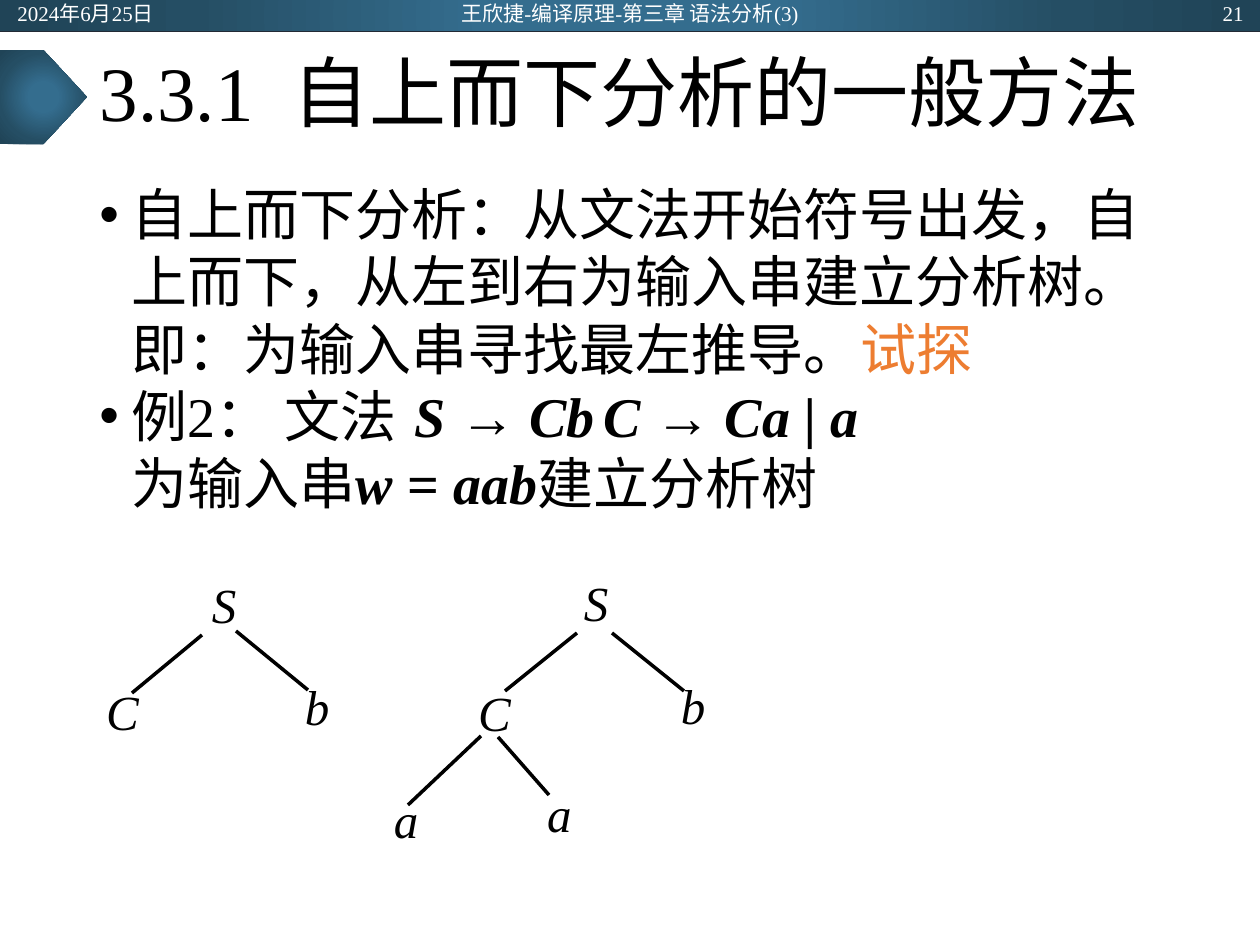
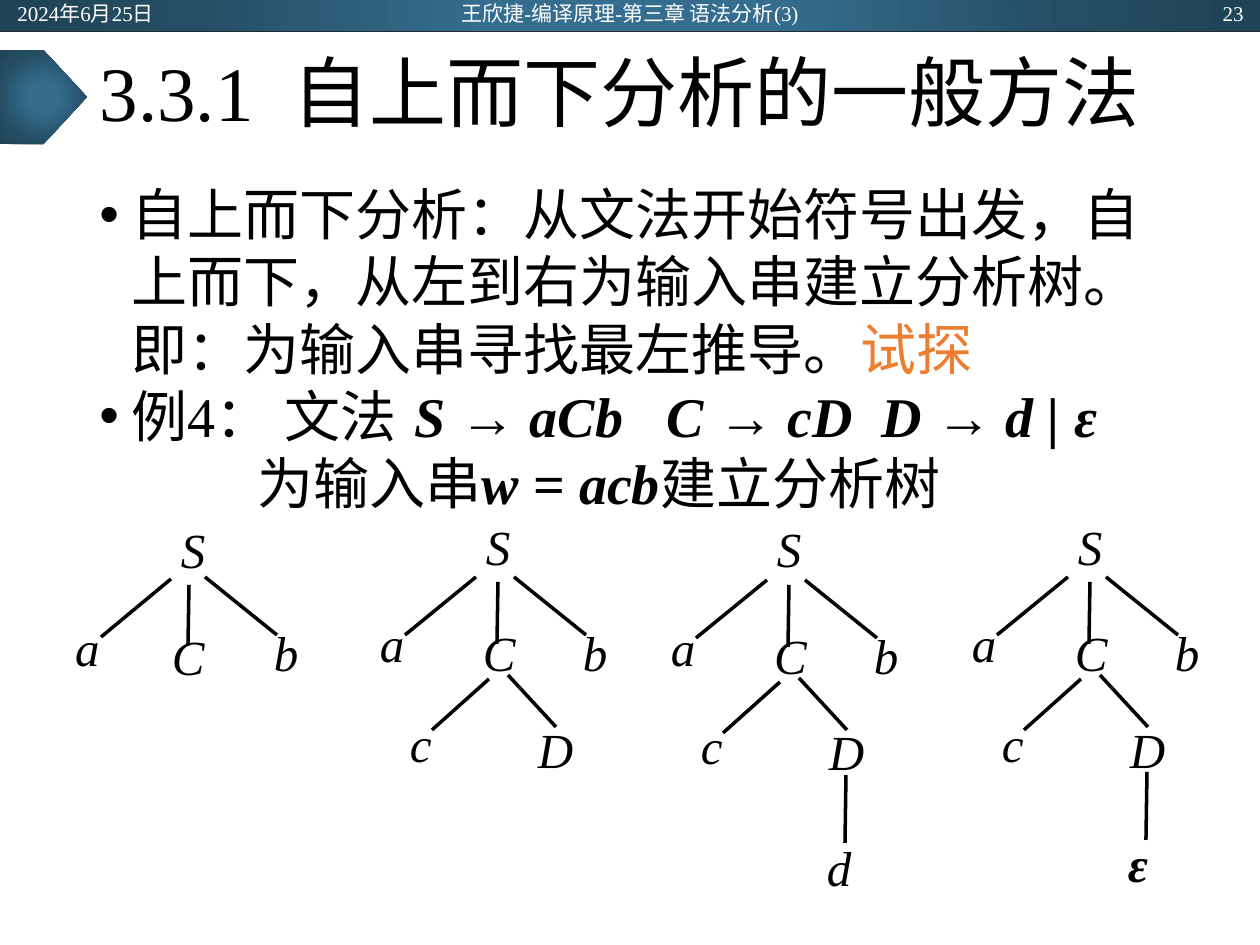
from pptx import Presentation
from pptx import util as u
from pptx.dml.color import RGBColor
from pptx.enum import shapes, text
from pptx.oxml import parse_xml
from pptx.oxml import ns

# Theme: colours, type sizes, fonts
THEME = {
    "ink": "000000", "paper": "FFFFFF", "accent": "ED7D31", "rule": "222A35",
    "gradient": [(0, "346D8E"), (23, "346D8E"), (69, "254E64"), (97, "204457")],
    "title": 44, "body": 32, "node": 28, "header": 12,
    "latin": "Times New Roman", "chinese": "Noto Sans CJK SC",
}
STYLES = {
    "plain": {}, "gap": {}, "accent": {},
    "symbol": {"bold": True, "italic": True},
    "operator": {"bold": True},
    "leaf": {"italic": True},
}
EMU_PER_PX = u.Inches(1) / 126


def emu(*lengths):
    return [round(length * EMU_PER_PX) for length in lengths]


def write(frame, lines, size, color, frame_format, paragraph_format):
    for name, value in frame_format.items():
        setattr(frame, name, value)
    for number, pieces in enumerate(lines):
        paragraph = frame.add_paragraph() if number else frame.paragraphs[0]
        for name, value in paragraph_format.items():
            setattr(paragraph, name, value)
        for piece in pieces:
            if piece is None:
                paragraph.add_line_break()
                continue
            words, style = piece
            run = paragraph.add_run()
            run.text = words
            run_format = {"size": u.Pt(size), "name": THEME["latin"], **STYLES[style]}
            for name, value in run_format.items():
                setattr(run.font, name, value)
            run.font.color.rgb = RGBColor.from_string(
                THEME["accent"] if style == "accent" else color)
            properties = run._r.get_or_add_rPr()
            east_asian = properties.makeelement(ns.qn("a:ea"), {"typeface": THEME["chinese"]})
            properties.find(ns.qn("a:latin")).addnext(east_asian)
            if style == "gap":  # one space, twice as wide
                properties.set("spc", str(size * 25))


stops = "".join(f'<a:gs pos="{pos * 1000}"><a:srgbClr val="{color}"/></a:gs>'
                for pos, color in THEME["gradient"])
GLOW = (f'<a:gradFill {ns.nsdecls("a")}><a:gsLst>{stops}</a:gsLst><a:path path="circle">'
        '<a:fillToRect l="50000" t="50000" r="50000" b="50000"/></a:path></a:gradFill>')

ALIGN, ANCHOR = text.PP_ALIGN, text.MSO_ANCHOR
TITLE = [("3.3.1", "plain"), (" ", "gap"), ("自上而下分析的一般方法", "plain")]
DEFINITION = [
    ("自上而下分析：从文法开始符号出发，自上而下，从左到右为输入串建立分析树。"
     "即：为输入串寻找最左推导。", "plain"), ("试探", "accent")]
BUILD = ("建立分析树", "plain")
INPUT = ("为输入串", "plain")
ARROW = ("→ ", "operator")
EQUALS = (" = ", "operator")

# Branches: label, label offset, line from and to; all measured from the root's box
FULL_TREE = [
    ("a", (-106, 98), (-8, 62, -79, 120)), ("C", (-3, 106), (14, 67, 13, 129)),
    ("b", (97, 106), (30, 62, 102, 120)), ("c", (-76, 197), (5, 164, -52, 215)),
    ("D", (52, 203), (24, 160, 72, 212)),
]
LAST_LABEL, LAST_LINE = (50, 318), (71, 257, 70, 325)

SLIDES = [
    {
        "number": "21",
        "example": [[
            ("例2： 文法\t", "plain"), ("S ", "symbol"), ARROW, ("Cb\tC ", "symbol"), ARROW,
            ("Ca | a", "symbol"), None,
            INPUT, ("w", "symbol"), EQUALS, ("aab", "symbol"), BUILD]],
        "trees": [
            ((210, 573), [("C", (-106, 108), (-8, 62, -78, 120)),
                          ("b", (93, 103), (26, 58, 98, 117))]),
            ((582, 571), [("C", (-106, 111), (-5, 62, -77, 120)),
                          ("b", (97, 103), (30, 62, 102, 120)),
                          ("a", (-37, 212), (-84, 166, -33, 224)),
                          ("a", (-190, 218), (-101, 165, -174, 234))]),
        ],
    },
    {
        "number": "23",
        "example": [
            [("例4： 文法\t", "plain"), ("S ", "symbol"), ARROW, ("aCb\tC ", "symbol"), ARROW,
             ("cD", "symbol"), (" ", "gap"), ("D ", "symbol"), ARROW, ("d | ε", "symbol")],
            [INPUT, ("w", "symbol"), EQUALS, ("acb", "symbol"), BUILD]],
        "trees": [
            ((179, 519), [("a", (-106, 97), (-8, 60, -78, 118)),
                          ("C", (-9, 107), (10, 66, 9, 127)),
                          ("b", (93, 102), (26, 58, 98, 116))]),
            ((484, 515), FULL_TREE),
            ((775, 518), FULL_TREE + [("d", LAST_LABEL, LAST_LINE)]),
            ((1076, 515), FULL_TREE + [("ε", LAST_LABEL, LAST_LINE)]),
        ],
    },
]

deck = Presentation()
deck.slide_width, deck.slide_height = emu(1260, 945)

for content in SLIDES:
    slide = deck.slides.add_slide(deck.slide_layouts[5])

    # Header band and title marker
    for preset, at in [(shapes.MSO_SHAPE.RECTANGLE, (0, 0, 1260, 31)),
                       (shapes.MSO_SHAPE.PENTAGON, (0, 50, 87, 94))]:
        panel = slide.shapes.add_shape(preset, *emu(*at))
        panel.shadow.inherit = False
        panel.line.fill.background()
        panel.fill.gradient()
        gradient = panel._element.spPr.find(ns.qn("a:gradFill"))
        gradient.getparent().replace(gradient, parse_xml(GLOW))

    # Title
    title = slide.shapes.title
    title.left, title.top, title.width, title.height = emu(87, 31, 1086, 131)
    write(title.text_frame, [TITLE], THEME["title"], THEME["ink"],
          {"vertical_anchor": ANCHOR.MIDDLE, "word_wrap": True,
           "auto_size": text.MSO_AUTO_SIZE.NONE},
          {"alignment": ALIGN.LEFT, "line_spacing": 0.9})

    # Definition and example
    explanation = slide.shapes.add_textbox(*emu(87, 174, 1092, 678)).text_frame
    write(explanation, [DEFINITION] + content["example"], THEME["body"], THEME["ink"],
          {"word_wrap": True}, {"line_spacing": u.Pt(38.3)})
    for number, paragraph in enumerate(explanation.paragraphs):
        properties = paragraph._p.get_or_add_pPr()
        bulleted = number < 2
        margin, indent = emu(32, -32) if bulleted else emu(158, 0)
        properties.set("marL", str(margin))
        properties.set("indent", str(indent))
        if bulleted:
            for tag, values in [("a:buFont", {"typeface": "Arial"}), ("a:buChar", {"char": "•"})]:
                properties.append(properties.makeelement(ns.qn(tag), values))

    # Parse trees
    for (root_x, root_y), branches in content["trees"]:
        tree = slide.shapes.add_group_shape().shapes
        for label, (dx, dy), edge in [("S", (0, 0), None)] + branches:
            node = tree.add_textbox(*emu(root_x + dx, root_y + dy, 43, 69))
            side, edge_top = emu(2, 1)
            write(node.text_frame, [[(label, "symbol" if label == "ε" else "leaf")]],
                  THEME["node"], THEME["ink"],
                  {"word_wrap": True, "margin_left": side, "margin_right": side,
                   "margin_top": edge_top, "margin_bottom": edge_top},
                  {"alignment": ALIGN.JUSTIFY})
            if edge:
                x1, y1, x2, y2 = edge
                branch = tree.add_connector(
                    shapes.MSO_CONNECTOR.STRAIGHT,
                    *emu(root_x + x1, root_y + y1, root_x + x2, root_y + y2))
                branch.line.width = u.Pt(2)
                branch.line.color.rgb = RGBColor.from_string(THEME["ink"])
                outline = branch._element.spPr
                outline.append(outline.makeelement(ns.qn("a:effectLst"), {}))

    # Header rule and texts
    rule = slide.shapes.add_connector(shapes.MSO_CONNECTOR.STRAIGHT, *emu(0, 31, 1260, 31))
    rule.line.width = u.Pt(0.5)
    rule.line.color.rgb = RGBColor.from_string(THEME["rule"])
    rule._element.spPr.append(rule._element.makeelement(ns.qn("a:effectLst"), {}))
    for words, at, alignment in [
            ("2024年6月25日", (5, 1, 284, 25), ALIGN.LEFT),
            ("王欣捷-编译原理-第三章 语法分析(3)", (417, 1, 426, 25), ALIGN.CENTER),
            (content["number"], (972, 1, 284, 25), ALIGN.RIGHT)]:
        header = slide.shapes.add_textbox(*emu(*at))
        write(header.text_frame, [[(words, "plain")]], THEME["header"], THEME["paper"],
              {"word_wrap": True, "vertical_anchor": ANCHOR.MIDDLE,
               "margin_top": 0, "margin_bottom": 0},
              {"alignment": alignment})

deck.save("out.pptx")
